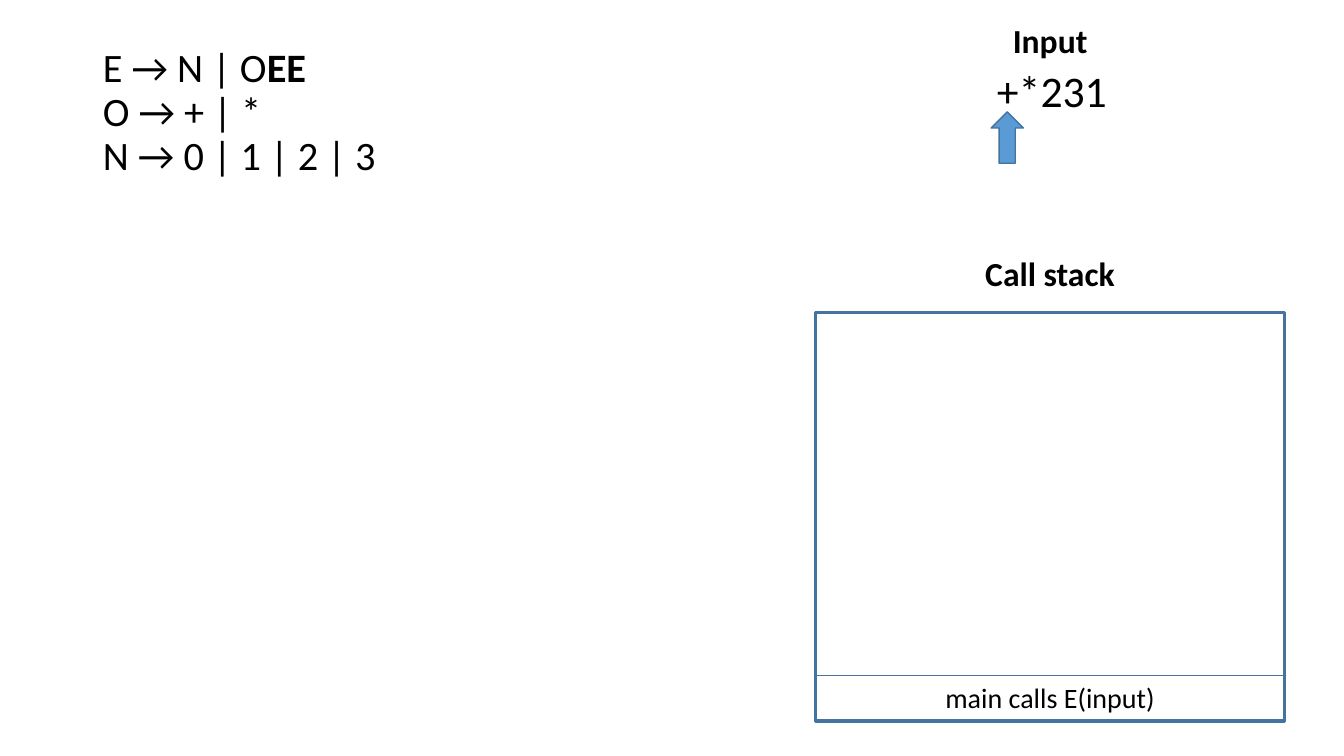
import pptx
import pptx.util
import pptx.dml.color
from pptx.enum.shapes import MSO_SHAPE
from pptx.enum.text import MSO_ANCHOR, MSO_AUTO_SIZE, PP_ALIGN

# Content: grammar lines as (plain part, bold part)
GRAMMAR = [("E → N | O", "EE"), ("O → + | *", ""), ("N → 0 | 1 | 2 | 3", "")]
INPUT_TEXT = "+*231"
STACK_FRAMES = ["main calls E(input)"]  # bottom frame first

# Layout in inches: the right-hand column holds the input and the stack
WIDTH, HEIGHT = 13.33, 7.5
STACK_LEFT, STACK_TOP, STACK_WIDTH, STACK_HEIGHT = 8.09, 3.1, 4.65, 4.06
FRAME_HEIGHT, FRAME_BOTTOM = 0.44, 7.14
CENTER = STACK_LEFT + STACK_WIDTH / 2
HEADINGS = [("Call stack", 2.46, 1.5), ("Input", 0.15, 0.95)]  # text, top, width
BLUE, OUTLINE, BLACK = "5B9BD5", "43739E", "000000"


def color(value):
    return pptx.dml.color.RGBColor.from_string(value)


def inches(*lengths):
    return [pptx.util.Inches(length) for length in lengths]


def format_run(span, size, bold=False):
    span.font.name = "Calibri"
    span.font.size = pptx.util.Pt(size)
    span.font.bold = bold
    span.font.color.rgb = color(BLACK)


def write(box, text, size, bold=False, align=PP_ALIGN.CENTER):
    box.text_frame.text = text
    para = box.text_frame.paragraphs[0]
    para.alignment = align
    format_run(para.runs[0], size, bold)
    return para


def add_shape(page, kind, place, line_width, fill=None):
    shape = page.shapes.add_shape(kind, *inches(*place))
    shape.shadow.inherit = False
    if fill:
        shape.fill.solid()
        shape.fill.fore_color.rgb = color(fill)
    else:
        shape.fill.background()
    shape.line.color.rgb = color(OUTLINE)
    shape.line.width = pptx.util.Pt(line_width)
    return shape


deck = pptx.Presentation()
deck.slide_width, deck.slide_height = inches(WIDTH, HEIGHT)
page = deck.slides.add_slide(deck.slide_layouts[5])

# Grammar in the title
title = page.shapes.title
title.left, title.top, title.width, title.height = inches(0.92, 0.4, 3.38, 1.45)
title.text_frame.vertical_anchor = MSO_ANCHOR.MIDDLE
title.text_frame.word_wrap = True
title.text_frame.auto_size = MSO_AUTO_SIZE.NONE
para = title.text_frame.paragraphs[0]
para.alignment = PP_ALIGN.LEFT
para.line_spacing = 0.9
for number, parts in enumerate(GRAMMAR):
    if number:
        para.add_line_break()
    for text, bold in zip(parts, (False, True)):
        if text:
            span = para.add_run()
            span.text = text
            format_run(span, 28.8, bold)

# Call stack with its frames, from the bottom up
add_shape(page, MSO_SHAPE.RECTANGLE,
          (STACK_LEFT, STACK_TOP, STACK_WIDTH, STACK_HEIGHT), 1.75)
for level, text in enumerate(STACK_FRAMES, start=1):
    top = FRAME_BOTTOM - level * FRAME_HEIGHT
    frame = add_shape(page, MSO_SHAPE.RECTANGLE,
                      (STACK_LEFT, top, STACK_WIDTH, FRAME_HEIGHT), 0.75)
    frame.text_frame.vertical_anchor = MSO_ANCHOR.TOP
    frame.text_frame.word_wrap = True
    frame.text_frame.auto_size = MSO_AUTO_SIZE.SHAPE_TO_FIT_TEXT
    write(frame, text, 20)

# Headings centred on the column
for text, top, width in HEADINGS:
    heading = page.shapes.add_textbox(*inches(CENTER - width / 2, top, width, 0.5))
    heading.text_frame.word_wrap = False
    heading.text_frame.auto_size = MSO_AUTO_SIZE.SHAPE_TO_FIT_TEXT
    write(heading, text, 24, bold=True)

# Input string and the arrow at its current symbol
tape = page.shapes.add_textbox(*inches(9.79, 0.58, 1.33, 0.69))
tape.text_frame.word_wrap = True
tape.text_frame.vertical_anchor = MSO_ANCHOR.MIDDLE
write(tape, INPUT_TEXT, 31.2, align=PP_ALIGN.LEFT).line_spacing = 0.9
add_shape(page, MSO_SHAPE.UP_ARROW, (9.83, 1.11, 0.32, 0.51), 1, BLUE)

deck.save("out.pptx")
